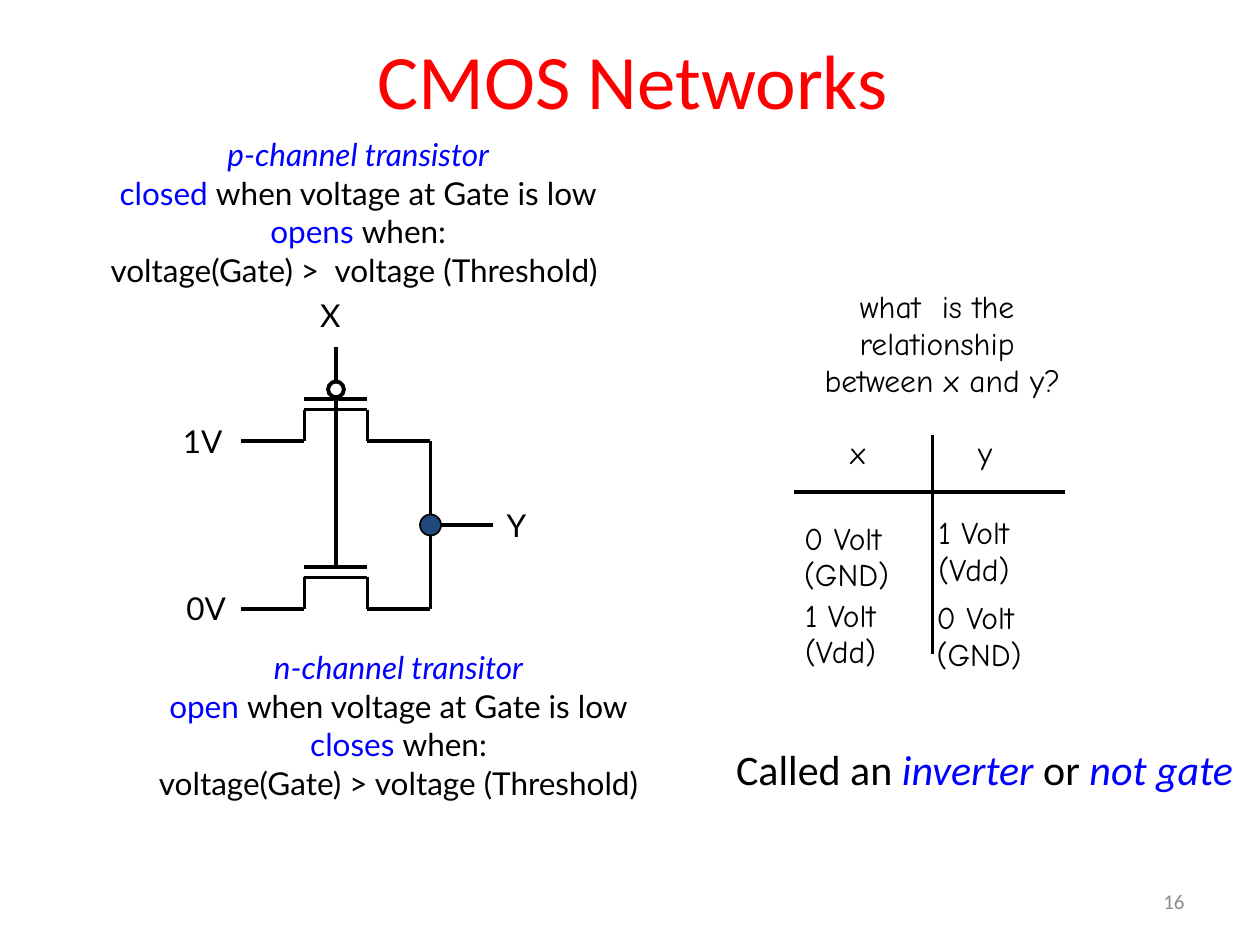
from dataclasses import dataclass

import pptx
import pptx.chart.data
import pptx.dml.color
import pptx.enum.shapes
import pptx.enum.text
import pptx.oxml.ns
import pptx.util
from lxml import etree

Pt = pptx.util.Pt
ALIGN = pptx.enum.text.PP_ALIGN
ANCHOR = pptx.enum.text.MSO_ANCHOR


@dataclass(frozen=True)
class Theme:
    black: str = "000000"
    white: str = "FFFFFF"
    red: str = "FF0000"
    blue: str = "0000FF"
    navy: str = "1F497D"
    grey: str = "8C8C8C"
    body_font: str = "Lato"
    hand_font: str = "Comic Neue"
    heading_font: str = "Calibri"
    title_size: float = 44
    remark_size: float = 24
    body_size: float = 18
    number_size: float = 12
    wire: float = 2.25
    rule: float = 2
    outline: float = 1


def color(value):
    return pptx.dml.color.RGBColor.from_string(value)


class SlideBuilder:
    def __init__(self, slide, theme):
        self.slide = slide
        self.theme = theme

    def group(self):
        return self.slide.shapes.add_group_shape().shapes

    def text(self, box, paragraphs, font, size, align=ALIGN.LEFT, spacing=None,
             margins=(7.2, 3.6), anchor=ANCHOR.TOP, wrap=False):
        """Each paragraph is a list of (text, color, italic); "\\n" breaks a line."""
        shape = self.slide.shapes.add_textbox(*map(Pt, box))
        frame = shape.text_frame
        frame.word_wrap = wrap
        frame.vertical_anchor = anchor
        frame.margin_left = frame.margin_right = Pt(margins[0])
        frame.margin_top = frame.margin_bottom = Pt(margins[1])
        for index, runs in enumerate(paragraphs):
            paragraph = frame.add_paragraph() if index else frame.paragraphs[0]
            paragraph.alignment = align
            if spacing:
                paragraph.line_spacing = Pt(spacing)
            for content, run_color, italic in runs:
                for number, line in enumerate(content.split("\n")):
                    if number:
                        paragraph.add_line_break()
                    if line:
                        run = paragraph.add_run()
                        run.text = line
                        run.font.name = font
                        run.font.size = Pt(size)
                        run.font.italic = italic
                        run.font.color.rgb = color(run_color)

    def label(self, left, top, width, lines, font, align=ALIGN.LEFT, height=32.4):
        """Black diagram or table label, one paragraph per line."""
        self.text((left, top, width, height),
                  [[(line, self.theme.black, False)] for line in lines],
                  font, self.theme.body_size, align, spacing=21, margins=(1.5, 2))

    def rule_text(self, box, name, low_state, high_state, condition):
        """How one kind of transistor reacts to its gate voltage."""
        theme = self.theme
        self.text(box, [
            [(name + "\n", theme.blue, True),
             (low_state + " ", theme.blue, False),
             ("when voltage at Gate is low\n", theme.black, False),
             (high_state + " ", theme.blue, False),
             ("when:", theme.black, False)],
            [(condition, theme.black, False)],
        ], theme.body_font, theme.body_size, ALIGN.CENTER, spacing=22, margins=(1.5, 2))

    def line(self, start, end, width, shapes=None):
        connector = (shapes or self.slide.shapes).add_connector(
            pptx.enum.shapes.MSO_CONNECTOR.STRAIGHT, *map(Pt, (*start, *end)))
        connector.line.color.rgb = color(self.theme.black)
        connector.line.width = Pt(width)
        etree.SubElement(connector._element.spPr, pptx.oxml.ns.qn("a:effectLst"))

    def circle(self, center, diameter, fill, width, shapes=None):
        left, top = (value - diameter / 2 for value in center)
        shape = (shapes or self.slide.shapes).add_shape(
            pptx.enum.shapes.MSO_SHAPE.OVAL, *map(Pt, (left, top, diameter, diameter)))
        shape.shadow.inherit = False
        shape.fill.solid()
        shape.fill.fore_color.rgb = color(fill)
        shape.line.color.rgb = color(self.theme.black)
        shape.line.width = Pt(width)

    def transistor(self, x, y, inverted=False):
        """Transistor whose gate is centred on x and whose terminals lie at y."""
        shapes = self.group()
        left, right = x - 18, x + 18
        channel, plate = y - 18, y - 24
        points = [(left - 36, y), (left, y), (left, channel),
                  (right, channel), (right, y), (right + 36, y)]
        segments = list(zip(points, points[1:]))
        segments += [((left, plate), (right, plate)), ((x, plate), (x, plate - 18))]
        for start, end in segments:
            self.line(start, end, self.theme.wire, shapes)
        if inverted:
            self.circle((x, plate - 5.5), 9, self.theme.white, self.theme.wire, shapes)


def main():
    presentation = pptx.Presentation()
    presentation.slide_width, presentation.slide_height = Pt(720), Pt(540)
    slide = presentation.slides.add_slide(presentation.slide_layouts[6])
    theme = Theme()
    builder = SlideBuilder(slide, theme)

    builder.text((37.5, 0, 648, 90), [[("CMOS Networks", theme.red, False)]],
                 theme.heading_font, theme.title_size, ALIGN.CENTER,
                 anchor=ANCHOR.MIDDLE, wrap=True)

    # Inverter circuit
    gate_x, output_x, output_y = 192, 246, 300
    supply_y, ground_y = 252, 348
    builder.line((output_x, supply_y), (output_x, ground_y), theme.wire)
    builder.line((output_x, output_y), (output_x + 36, output_y), theme.wire)
    builder.line((gate_x, 312), (gate_x, 198), theme.wire)
    builder.transistor(gate_x, ground_y)
    builder.transistor(gate_x, supply_y, inverted=True)
    builder.circle((output_x, output_y), 12, theme.navy, theme.outline)
    for name, left, top in (("X", 181.5, 168), ("Y", 288, 288),
                            ("1V", 103, 240), ("0V", 105, 335)):
        builder.label(left, top, 28.8, [name], theme.body_font)

    builder.rule_text((0, 75, 409.5, 98.5), "p-channel transistor", "closed", "opens",
                      "voltage(Gate) >  voltage (Threshold) ")
    builder.rule_text((70.5, 368, 314.5, 98.5), "n-channel transitor", "open", "closes",
                      "voltage(Gate) > voltage (Threshold)")

    # Truth table
    builder.label(455.75, 162.75, 165.5,
                  ["what  is the \nrelationship \nbetween x and y?"],
                  theme.hand_font, ALIGN.CENTER, height=74)
    builder.line((453.5, 281), (608.5, 281), theme.rule)
    builder.line((532.75, 248.5), (532.75, 374), theme.rule)
    for left, top, width, lines in (
        (484.5, 246, 28.8, ["x"]),
        (557.5, 246, 28.8, ["y"]),
        (458, 295, 70, ["0 Volt", "(GND)"]),
        (458.5, 339, 70, ["1 Volt", "(Vdd)"]),
        (534.75, 292, 70, ["1 Volt (Vdd)"]),
        (533.75, 340.5, 70, ["0 Volt (GND)"]),
    ):
        builder.label(left, top, width, lines, theme.hand_font)

    builder.text((413.5, 421.25, 306.5, 36), [[
        ("Called an ", theme.black, False), ("inverter ", theme.blue, True),
        ("or ", theme.black, False), ("not gate", theme.blue, True),
    ]], theme.heading_font, theme.remark_size)
    builder.text((516, 500.5, 168, 28.75), [[("16", theme.grey, False)]],
                 theme.heading_font, theme.number_size, ALIGN.RIGHT,
                 anchor=ANCHOR.MIDDLE, wrap=True)

    presentation.save("out.pptx")


if __name__ == "__main__":
    main()
